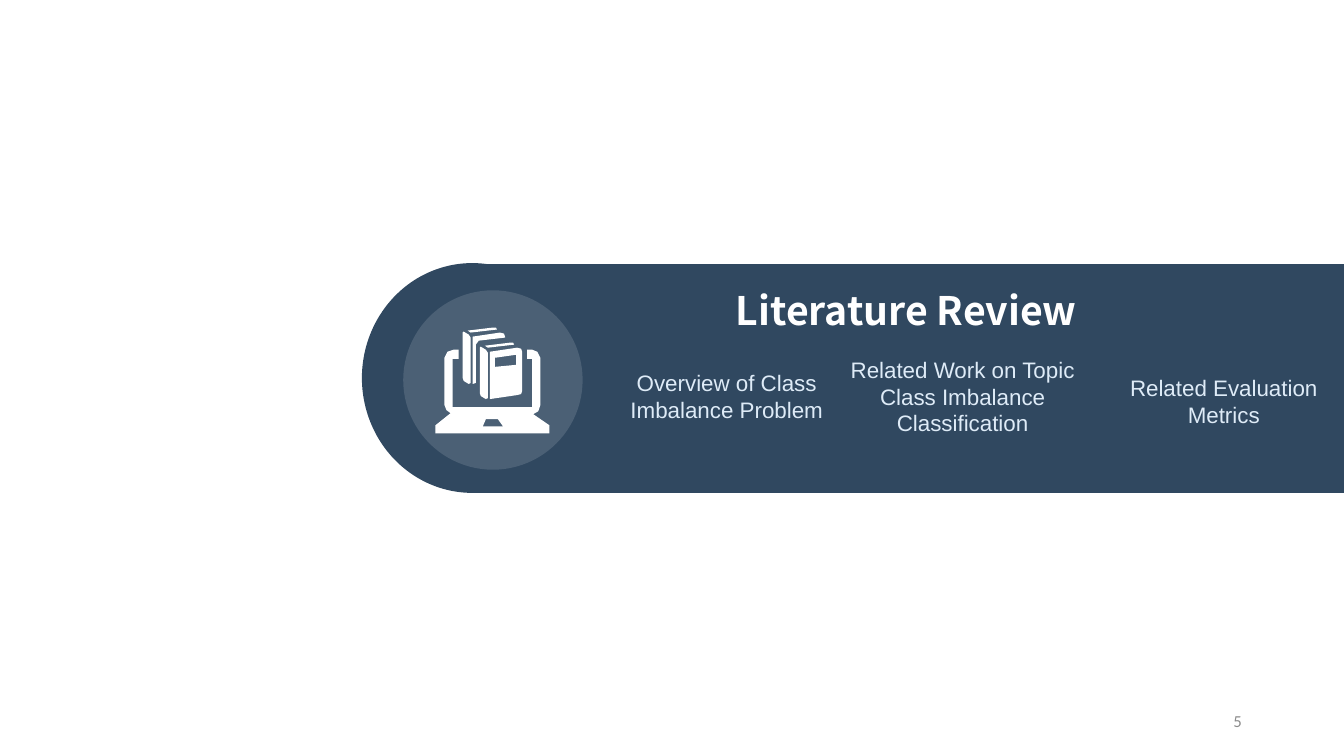
from dataclasses import dataclass

from pptx import Presentation
from pptx import util as u
from pptx.dml.color import RGBColor
from pptx.enum import shapes, text


@dataclass(frozen=True)
class Theme:
    band: str = "304860"
    disc: str = "4B6075"
    white: str = "FFFFFF"
    topic: str = "DEEBF7"
    number: str = "8C8C8C"
    title_size: int = 28
    topic_size: int = 16
    number_size: int = 12
    title_font: str = "Noto Sans CJK SC"
    topic_font: str = "Arial"
    number_font: str = "Calibri"


@dataclass(frozen=True)
class Area:
    """Place on the slide, in percent of its width and height."""
    left: float
    top: float
    width: float
    height: float


@dataclass(frozen=True)
class Panel:
    kind: shapes.MSO_SHAPE
    area: Area
    color: str


@dataclass(frozen=True)
class Label:
    wording: str
    area: Area
    font: str
    size: int
    color: str
    bold: bool = False
    align: text.PP_ALIGN = text.PP_ALIGN.CENTER
    anchor: text.MSO_ANCHOR = text.MSO_ANCHOR.TOP
    inset: bool = True
    wrap: bool = True


THEME = Theme()
WIDTH, HEIGHT = u.Inches(13.333), u.Inches(7.5)

PANELS = [
    Panel(shapes.MSO_SHAPE.OVAL, Area(26.93, 34.8, 16.43, 30.4), THEME.band),
    Panel(shapes.MSO_SHAPE.RECTANGLE, Area(34.88, 34.93, 65.12, 30.27), THEME.band),
    Panel(shapes.MSO_SHAPE.OVAL, Area(30, 38.4, 13.35, 23.73), THEME.disc),
]


def topic(wording: str, area: Area, inset: bool = False, wrap: bool = True) -> Label:
    return Label(wording, area, THEME.topic_font, THEME.topic_size, THEME.topic,
                 inset=inset, wrap=wrap)


LABELS = [
    Label("Literature Review", Area(52.65, 37.2, 29.55, 7.6),
          THEME.title_font, THEME.title_size, THEME.white, bold=True),
    topic("Overview of Class Imbalance Problem", Area(44.85, 48.8, 18.45, 7.2)),
    topic("Related Work on Topic Class Imbalance Classification",
          Area(61.95, 47.07, 19.35, 10.8)),
    topic("Related Evaluation\nMetrics", Area(83.03, 48.8, 16.05, 8.53),
          inset=True, wrap=False),
    Label("5", Area(70.65, 92.67, 22.5, 5.33), THEME.number_font, THEME.number_size,
          THEME.number, align=text.PP_ALIGN.RIGHT, anchor=text.MSO_ANCHOR.MIDDLE),
]

# Icon outlines on a grid of 113 columns and 106 rows
Outline = list[tuple[int, int]]
ICON_AREA = Area(32.4, 43.2, 8.48, 14.13)
ICON_COLUMNS, ICON_ROWS = 113, 106
BOOK_TOP: Outline = [(32, 4), (35, 6), (61, 3), (60, 1), (57, 1)]
BOOK_SPINE: Outline = [(28, 5), (33, 8), (35, 11), (35, 56), (33, 57),
                       (28, 54), (27, 51), (27, 6)]
BOOK_STEP = (17, 15)


def front_book(outline: Outline) -> Outline:
    return [(x + BOOK_STEP[0], y + BOOK_STEP[1]) for x, y in outline]


ICON: list[Outline] = [
    BOOK_TOP, BOOK_SPINE, front_book(BOOK_TOP), front_book(BOOK_SPINE),
    # Front cover, its label and the rear cover
    [(54, 25), (81, 21), (85, 22), (86, 25), (86, 64), (85, 67), (81, 68), (54, 72)],
    [(59, 31), (80, 28), (80, 38), (59, 40)],
    [(37, 10), (64, 6), (68, 7), (69, 10), (69, 11), (43, 14), (40, 18),
     (40, 56), (37, 57)],
    # Laptop and its touchpad
    [(17, 32), (23, 32), (23, 23), (18, 23), (12, 25), (9, 31), (9, 78), (11, 83),
     (15, 86), (0, 98), (0, 106), (113, 106), (113, 98), (97, 87), (102, 84),
     (104, 78), (104, 31), (101, 25), (96, 23), (91, 23), (91, 32), (96, 32),
     (96, 80), (17, 80)],
    [(50, 92), (62, 92), (67, 99), (47, 99)],
]


def place(area: Area) -> tuple[int, int, int, int]:
    return (int(WIDTH * area.left / 100), int(HEIGHT * area.top / 100),
            int(WIDTH * area.width / 100), int(HEIGHT * area.height / 100))


def paint(shape, color: str) -> None:
    shape.shadow.inherit = False
    shape.fill.solid()
    shape.fill.fore_color.rgb = RGBColor.from_string(color)
    shape.line.fill.background()


def draw_panel(slide, panel: Panel) -> None:
    paint(slide.shapes.add_shape(panel.kind, *place(panel.area)), panel.color)


def draw_icon(slide, outlines: list[Outline], area: Area, color: str) -> None:
    left, top, width, height = place(area)
    builder = slide.shapes.build_freeform(
        *outlines[0][0], scale=(width / ICON_COLUMNS, height / ICON_ROWS))
    for index, outline in enumerate(outlines):
        if index:
            builder.move_to(*outline[0])
        builder.add_line_segments(outline[1:], close=True)
    paint(builder.convert_to_shape(left, top), color)


def draw_label(slide, label: Label) -> None:
    frame = slide.shapes.add_textbox(*place(label.area)).text_frame
    frame.word_wrap = label.wrap
    frame.vertical_anchor = label.anchor
    if not label.inset:
        frame.margin_left = frame.margin_right = 0
        frame.margin_top = frame.margin_bottom = 0
    frame.text = label.wording
    for paragraph in frame.paragraphs:
        paragraph.alignment = label.align
        for run in paragraph.runs:
            run.font.name = label.font
            run.font.size = u.Pt(label.size)
            run.font.bold = label.bold
            run.font.color.rgb = RGBColor.from_string(label.color)


def main() -> None:
    presentation = Presentation()
    presentation.slide_width, presentation.slide_height = WIDTH, HEIGHT
    slide = presentation.slides.add_slide(presentation.slide_layouts[6])

    # Band with the round icon
    for panel in PANELS:
        draw_panel(slide, panel)
    draw_icon(slide, ICON, ICON_AREA, THEME.white)

    # Title, topics and page number
    for label in LABELS:
        draw_label(slide, label)

    presentation.save("out.pptx")


if __name__ == "__main__":
    main()
